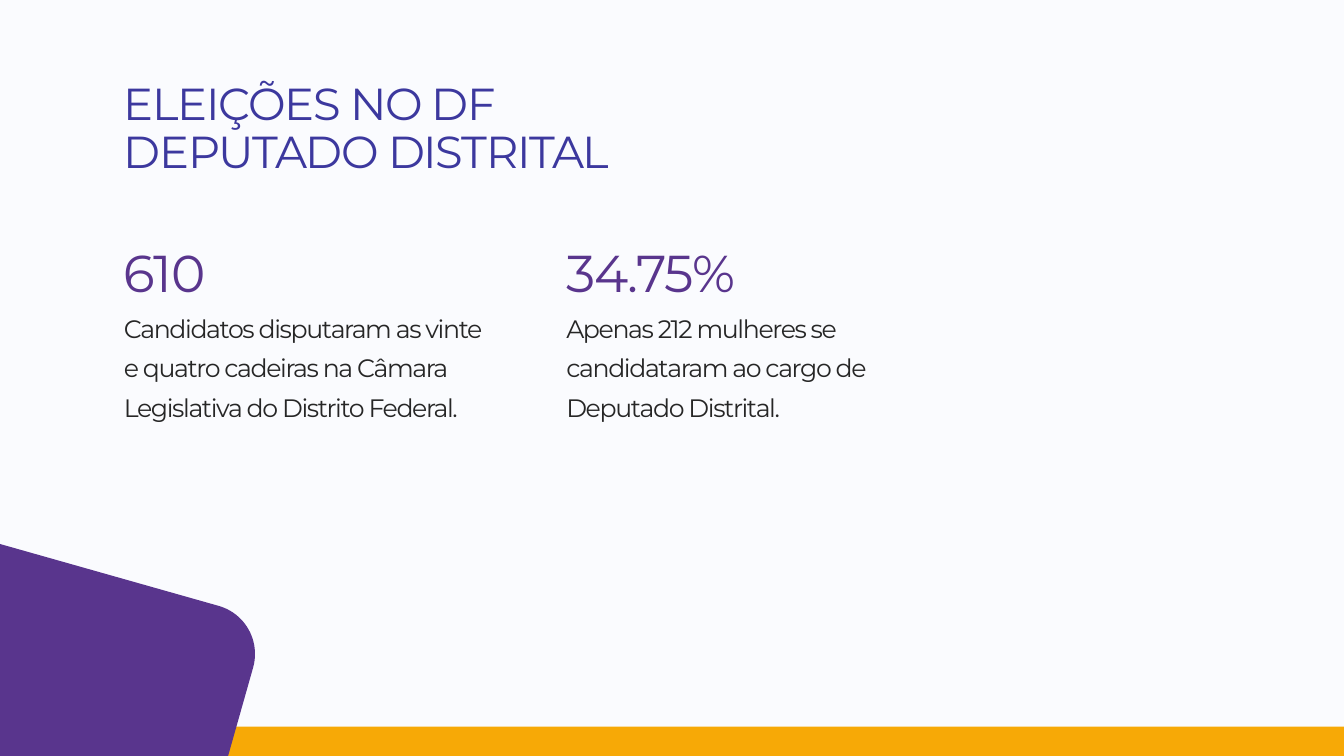
from dataclasses import dataclass

from pptx import Presentation
from pptx.dml.color import RGBColor
from pptx.enum.shapes import MSO_SHAPE
from pptx.enum.text import MSO_ANCHOR, MSO_AUTO_SIZE, PP_ALIGN
from pptx.util import Pt

RECT, ROUND = MSO_SHAPE.RECTANGLE, MSO_SHAPE.ROUNDED_RECTANGLE
TOP, BOTTOM = MSO_ANCHOR.TOP, MSO_ANCHOR.BOTTOM
LEFT, FIXED = PP_ALIGN.LEFT, MSO_AUTO_SIZE.NONE

PAPER = RGBColor(0xFA, 0xFB, 0xFE)
ORANGE = RGBColor(0xF7, 0xA9, 0x06)
PURPLE = RGBColor(0x59, 0x35, 0x8D)
INDIGO = RGBColor(0x3C, 0x38, 0x9E)
INK = RGBColor(0x26, 0x26, 0x26)

WIDTH, HEIGHT = 960, 540
MARGIN = 81.36
FONT = "Montserrat"
TRACK = "-100"


@dataclass(frozen=True)
class Box:
    left: float
    top: float
    width: float
    height: float

    def points(self) -> list:
        return [Pt(v) for v in (self.left, self.top, self.width, self.height)]


@dataclass(frozen=True)
class Style:
    size: float
    color: RGBColor
    line: float
    anchor: MSO_ANCHOR


@dataclass(frozen=True)
class Fact:
    left: float
    value: str
    label: str


HEAD = Style(32, INDIGO, 0.9, BOTTOM)
VALUE = Style(37, PURPLE, 0.9, BOTTOM)
LABEL = Style(18, INK, 1.3, TOP)

TITLE = ["ELEIÇÕES NO DF", "DEPUTADO DISTRITAL"]
FACTS = [
    Fact(MARGIN, "610",
         "Candidatos disputaram as vinte e quatro cadeiras na Câmara "
         "Legislativa do Distrito Federal."),
    Fact(397.44, "34.75%",
         "Apenas 212 mulheres se candidataram ao cargo de Deputado Distrital."),
]


def assign(target, values: dict) -> None:
    for name, value in values.items():
        setattr(target, name, value)


def write(shape, lines: list[str], style: Style) -> None:
    frame = shape.text_frame
    assign(frame, {"word_wrap": True, "auto_size": FIXED,
                   "vertical_anchor": style.anchor})
    for i, line in enumerate(lines):
        para = frame.add_paragraph() if i else frame.paragraphs[0]
        assign(para, {"alignment": LEFT, "line_spacing": style.line})
        run = para.add_run()
        run.text = line
        assign(run.font, {"name": FONT, "size": Pt(style.size)})
        run.font.color.rgb = style.color
        run._r.get_or_add_rPr().set("spc", TRACK)


def add_block(slide, kind: MSO_SHAPE, box: Box, color: RGBColor):
    block = slide.shapes.add_shape(kind, *box.points())
    block.shadow.inherit = False
    block.fill.solid()
    block.fill.fore_color.rgb = color
    block.line.fill.background()
    return block


def add_title(slide) -> None:
    title = slide.shapes.title
    places = Box(MARGIN, 48.96, 528, 82).points()
    assign(title, dict(zip(("left", "top", "width", "height"), places)))
    write(title, TITLE, HEAD)


def add_fact(slide, fact: Fact) -> None:
    label = slide.shapes.add_textbox(*Box(fact.left, 213.84, 278, 98.64).points())
    write(label, [fact.label], LABEL)
    value = slide.shapes.add_textbox(*Box(fact.left, 169.2, 240.48, 51.12).points())
    write(value, [fact.value], VALUE)


def main() -> None:
    deck = Presentation()
    assign(deck, {"slide_width": Pt(WIDTH), "slide_height": Pt(HEIGHT)})
    slide = deck.slides.add_slide(deck.slide_layouts.get_by_name("Title Only"))
    slide.background.fill.solid()
    slide.background.fill.fore_color.rgb = PAPER

    add_block(slide, RECT, Box(0, 519, WIDTH, HEIGHT - 519), ORANGE)
    tile = add_block(slide, ROUND, Box(-123.84, 398.88, 289.44, 223.2), PURPLE)
    tile.rotation = 15.8
    tile.adjustments[0] = 0.16
    add_title(slide)
    for fact in FACTS:
        add_fact(slide, fact)
    deck.save("out.pptx")


if __name__ == "__main__":
    main()
